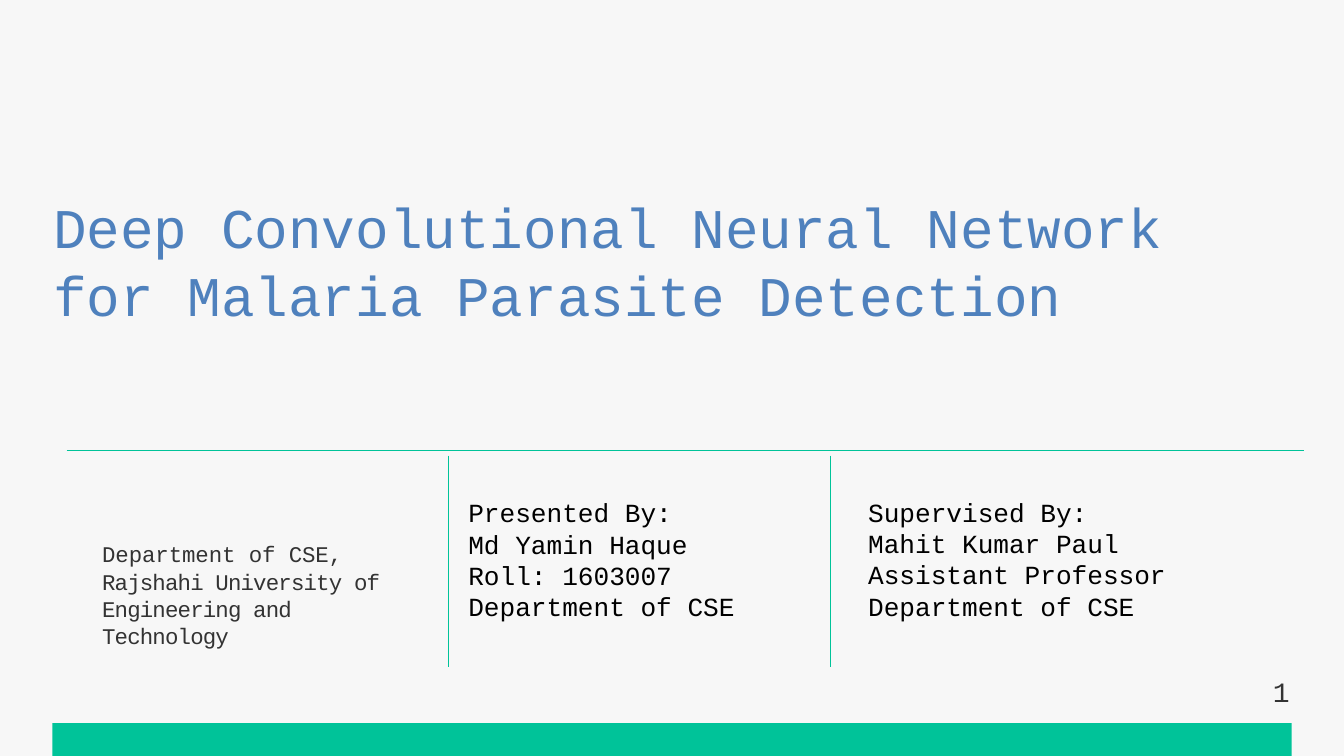
from pptx import Presentation
from pptx.dml.color import RGBColor
from pptx.enum.shapes import MSO_CONNECTOR, MSO_SHAPE
from pptx.enum.text import MSO_ANCHOR, MSO_AUTO_SIZE, PP_ALIGN
from pptx.oxml.ns import qn
from pptx.util import Inches, Pt
from lxml import etree

PAPER = RGBColor(0xF7, 0xF7, 0xF7)
GREEN = RGBColor(0x00, 0xC3, 0x99)
BLUE = RGBColor(0x4F, 0x81, 0xBD)
BLACK = RGBColor(0x00, 0x00, 0x00)
GREY = RGBColor(0x33, 0x33, 0x33)
FONT = "Courier New"

TITLE = ["Deep Convolutional Neural Network", "for Malaria Parasite Detection"]
DEPARTMENT = ["Department of CSE,", "Rajshahi University of Engineering and Technology"]
PRESENTER = ["Presented By:", "Md Yamin Haque", "Roll: 1603007", "Department of CSE"]
SUPERVISOR = ["Supervised By:", "Mahit Kumar Paul", "Assistant Professor", "Department of CSE"]


def write_lines(frame, lines, size, color, before=0, indent=0, tracking=()):
    """Fill a text frame with one left-aligned paragraph per line."""
    frame.word_wrap = True
    frame.auto_size = MSO_AUTO_SIZE.SHAPE_TO_FIT_TEXT
    frame.vertical_anchor = MSO_ANCHOR.TOP
    frame.margin_left = frame.margin_right = frame.margin_bottom = 0
    frame.margin_top = Inches(0.01)
    frame.text = "\n".join(lines)
    for paragraph in frame.paragraphs:
        paragraph.alignment = PP_ALIGN.LEFT
        paragraph.space_before = Pt(before)
        paragraph.font.name = FONT
        paragraph.font.size = Pt(size)
        paragraph.font.color.rgb = color
        paragraph._p.get_or_add_pPr().set("marL", str(Inches(indent)))
    for paragraph, spacing in zip(frame.paragraphs, tracking):
        paragraph.runs[0]._r.get_or_add_rPr().set("spc", str(spacing))


def add_title(slide, left, top, width, height):
    """Place the talk's title in the title placeholder."""
    title = slide.shapes.title
    title.left, title.top = Inches(left), Inches(top)
    title.width, title.height = Inches(width), Inches(height)
    write_lines(title.text_frame, TITLE, 60, BLUE, before=1, indent=0.01)


def add_block(slide, box, lines, size, color, **style):
    """Add a text box with the given lines."""
    block = slide.shapes.add_textbox(*map(Inches, box))
    write_lines(block.text_frame, lines, size, color, **style)


def add_rule(slide, x1, y1, x2, y2):
    """Draw a thin green rule."""
    rule = slide.shapes.add_connector(MSO_CONNECTOR.STRAIGHT, *map(Inches, (x1, y1, x2, y2)))
    rule.line.color.rgb = GREEN
    rule.line.width = Pt(1.5)
    etree.SubElement(rule._element.spPr, qn("a:effectLst"))


def add_credits(slide, left, top, width, height):
    """Lay out the ruled area with department, presenter and supervisor."""
    add_rule(slide, left, top, left + width, top)
    for offset in (5.68, 11.37):
        add_rule(slide, left + offset, top + 0.08, left + offset, top + height)
    add_block(slide, (left + 0.52, top + 1.33, 4.59, 1.24), DEPARTMENT, 24, GREY,
              before=1, indent=0.01, tracking=(-10, -90))
    add_block(slide, (left + 5.98, top + 0.68, 5.4, 1.9), PRESENTER, 28, BLACK)
    add_block(slide, (left + 11.93, top + 0.67, 6.23, 1.9), SUPERVISOR, 28, BLACK)


def add_footer(slide, left, top, width, height):
    """Draw the green band with the page number above its right end."""
    band = slide.shapes.add_shape(MSO_SHAPE.RECTANGLE, *map(Inches, (left, top, width, height)))
    band.shadow.inherit = False
    band.fill.solid()
    band.fill.fore_color.rgb = GREEN
    band.line.fill.background()
    add_block(slide, (left + width - 0.32, top - 0.74, 0.51, 0.71), ["1"], 30, GREY,
              before=4.5, indent=0.04, tracking=(-880,))


def main():
    """Build and save the opening slide."""
    deck = Presentation()
    deck.slide_width, deck.slide_height = Inches(20), Inches(11.25)
    slide = deck.slides.add_slide(deck.slide_layouts.get_by_name("Title Only"))
    slide.background.fill.solid()
    slide.background.fill.fore_color.rgb = PAPER
    add_title(slide, 0.78, 2.85, 18.11, 2.05)
    add_credits(slide, 0.99, 6.7, 18.41, 3.23)
    add_footer(slide, 0.78, 10.76, 18.44, 0.49)
    deck.save("out.pptx")


if __name__ == "__main__":
    main()
